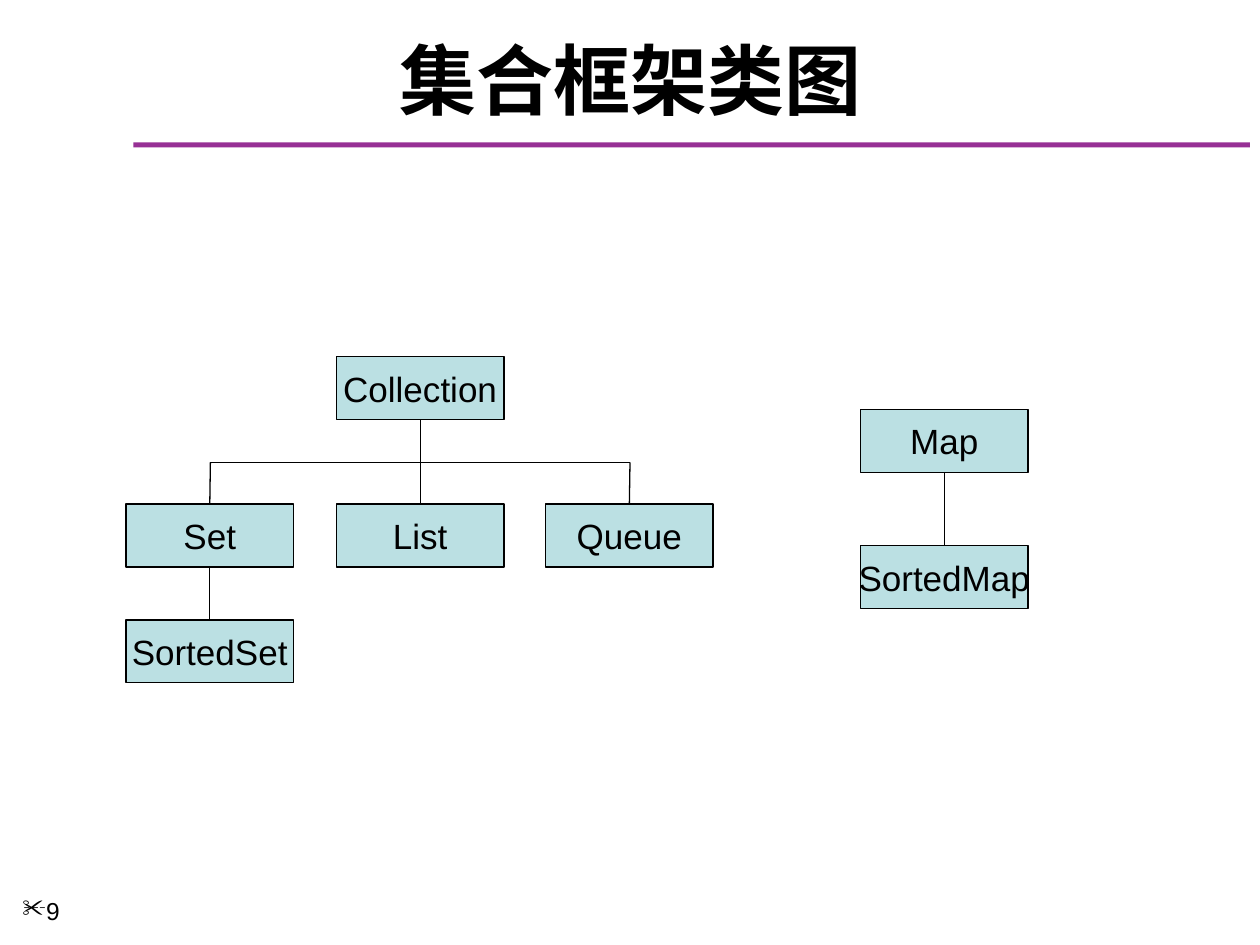
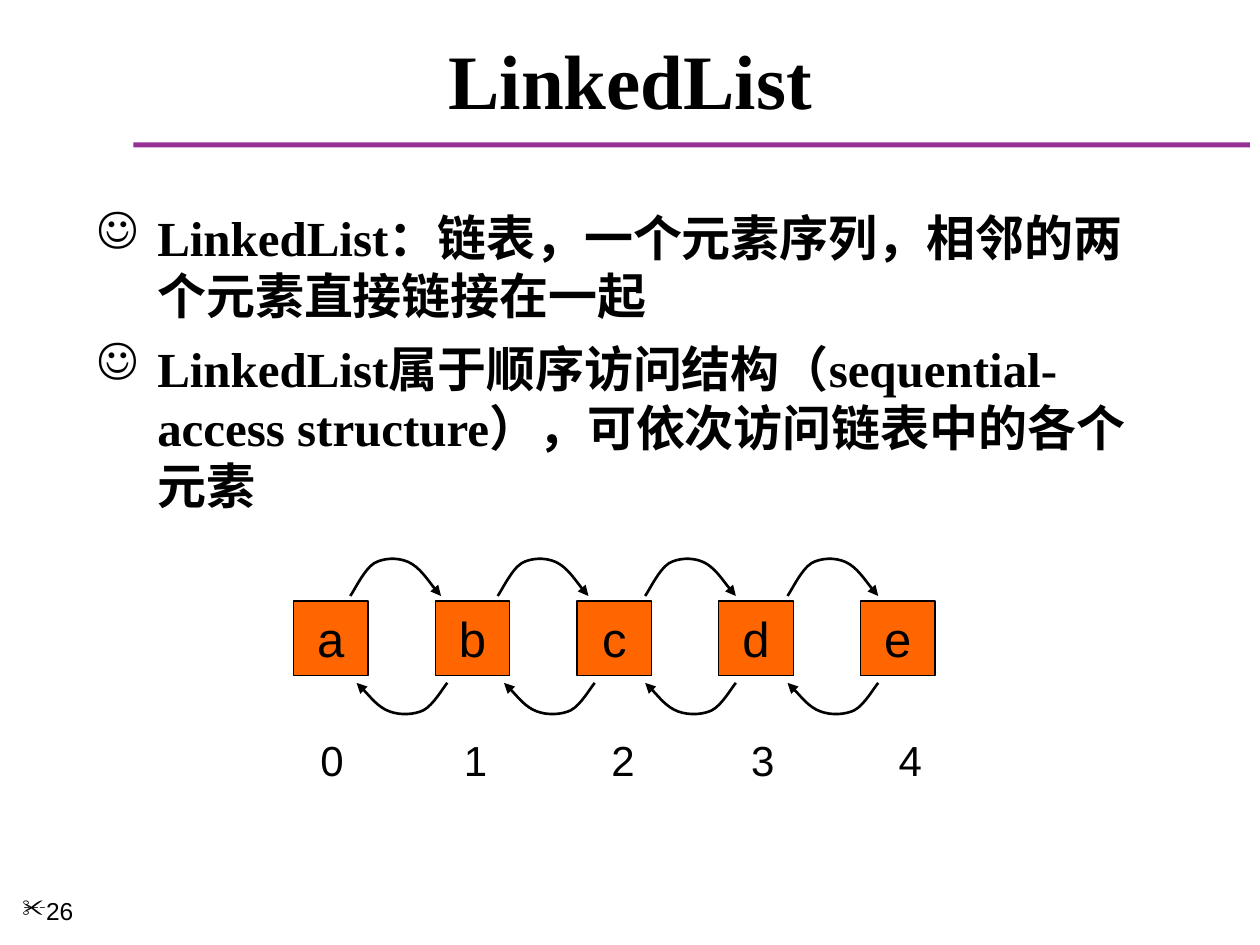
"""Build two slides on collection classes: a class tree and a linked list."""
from lxml import etree
from pptx import Presentation
from pptx import util as u
from pptx.dml.color import RGBColor
from pptx.enum import shapes, text
from pptx.oxml.ns import qn

HUES = {"ink": "000000", "bar": "973095", "class": "BBE0E3", "node": "FF6600"}
SANS, SERIF, HAN = "Arial", "Times New Roman", "Noto Sans CJK SC"
CURVE = [(0, .31), (.03, .27), (.11, .1), (.19, .05), (.26, .01),
         (.37, 0), (.46, .04), (.55, .08), (.67, .26), (.72, .31)]


class Deck:
    """Hold the style and the current slide."""

    def __init__(self):
        self.prs = Presentation()
        self.prs.slide_width = u.Inches(10)
        self.prs.slide_height = u.Inches(7.5)

    def hue(self, name):
        return RGBColor.from_string(HUES[name])

    def style(self, para, size, font=SANS, bold=False):
        for run in para.runs:
            run.font.size = u.Pt(size)
            run.font.name = font
            run.font.bold = bold
            run.font.color.rgb = self.hue("ink")
            ea = etree.SubElement(run.font._element, qn("a:ea"))
            ea.set("typeface", HAN)

    def bullet(self, para, char, left=0):
        props = para._p.get_or_add_pPr()
        props.set("marL", str(u.Inches(left)))
        props.set("indent", str(u.Inches(-left)))
        etree.SubElement(props, qn("a:buChar")).set("char", char)

    def page(self, title, number, font):
        self.slide = self.prs.slides.add_slide(self.prs.slide_layouts[5])
        self.rect(1.06, 1.13, 8.86, .04, "bar")
        head = self.slide.shapes.title
        head.left, head.top = u.Inches(.17), u.Inches(.25)
        head.width, head.height = u.Inches(9.67), u.Inches(.75)
        frame = head.text_frame
        frame.text = title
        frame.auto_size = text.MSO_AUTO_SIZE.NONE
        frame.vertical_anchor = text.MSO_ANCHOR.MIDDLE
        frame.paragraphs[0].alignment = text.PP_ALIGN.CENTER
        self.style(frame.paragraphs[0], 44, font, True)
        foot = self.label(.08, 7.06, 1.08, .44, number, 14)
        self.bullet(foot, "✂")

    def rect(self, x, y, w, h, fill):
        box = self.slide.shapes.add_shape(
            shapes.MSO_SHAPE.RECTANGLE, *map(u.Inches, (x, y, w, h)))
        box.shadow.inherit = False
        box.fill.solid()
        box.fill.fore_color.rgb = self.hue(fill)
        box.line.fill.background()
        return box

    def box(self, x, y, w, h, words, fill, size):
        box = self.rect(x, y, w, h, fill)
        box.line.color.rgb = self.hue("ink")
        box.line.width = u.Pt(.75)
        frame = box.text_frame
        frame.text = words
        frame.word_wrap = False
        frame.vertical_anchor = text.MSO_ANCHOR.MIDDLE
        frame.paragraphs[0].alignment = text.PP_ALIGN.CENTER
        self.style(frame.paragraphs[0], size)
        return box

    def label(self, x, y, w, h, words, size, align=text.PP_ALIGN.LEFT):
        frame = self.slide.shapes.add_textbox(
            *map(u.Inches, (x, y, w, h))).text_frame
        frame.text = words
        frame.word_wrap = True
        para = frame.paragraphs[0]
        para.alignment = align
        self.style(para, size)
        return para

    def points(self, x, y, w, h, items):
        frame = self.slide.shapes.add_textbox(
            *map(u.Inches, (x, y, w, h))).text_frame
        frame.text = "\n".join(items)
        frame.word_wrap = True
        for i, para in enumerate(frame.paragraphs):
            self.bullet(para, "☺", .48)
            para.line_spacing = u.Pt(33.4)
            if i:
                para.space_before = u.Pt(8.4)
            self.style(para, 28, SERIF, True)

    def line(self, x1, y1, x2, y2, start=None, end=None):
        link = self.slide.shapes.add_connector(
            shapes.MSO_CONNECTOR.STRAIGHT, *map(u.Inches, (x1, y1, x2, y2)))
        if start:
            link.begin_connect(*start)
        if end:
            link.end_connect(*end)
        link.line.color.rgb = self.hue("ink")
        link.line.width = u.Pt(.75)
        etree.SubElement(link._element.spPr, qn("a:effectLst"))

    def arc(self, dots):
        dots = [(u.Inches(x), u.Inches(y)) for x, y in dots]
        pen = self.slide.shapes.build_freeform(*dots[0])
        pen.add_line_segments(dots[1:], close=False)
        arc = pen.convert_to_shape()
        steps = list(arc._element.iter(qn("a:lnTo")))
        for i in range(0, len(steps), 3):
            curve = etree.SubElement(steps[i].getparent(), qn("a:cubicBezTo"))
            for step in steps[i:i + 3]:
                curve.append(step[0])
                step.getparent().remove(step)
        arc.shadow.inherit = False
        arc.fill.background()
        arc.line.color.rgb = self.hue("ink")
        arc.line.width = u.Pt(1.5)
        tail = etree.SubElement(arc.line._get_or_add_ln(), qn("a:tailEnd"))
        tail.set("type", "triangle")


def tree(deck):
    deck.page("集合框架类图", "9", HAN)
    spots = {"Collection": (2.67, 2.83), "Set": (1, 4), "List": (2.67, 4),
             "Queue": (4.33, 4), "SortedSet": (1, 4.92),
             "Map": (6.83, 3.25), "SortedMap": (6.83, 4.33)}
    boxes = {name: deck.box(x, y, 1.33, .5, name, "class", 20)
             for name, (x, y) in spots.items()}
    for top, low in (("Set", "SortedSet"), ("Collection", "List"),
                     ("Map", "SortedMap")):
        mid = spots[top][0] + .665
        deck.line(mid, spots[top][1] + .5, mid, spots[low][1],
                  (boxes[top], 2), (boxes[low], 0))
    deck.line(1.67, 3.67, 5, 3.67)
    for name, x in (("Set", 1.67), ("Queue", 5)):
        deck.line(x, 4, x, 3.67, (boxes[name], 0))


def chain(deck):
    deck.page("LinkedList", "26", SERIF)
    deck.points(.67, 1.6, 8.6, 2.6, [
        "LinkedList：链表，一个元素序列，相邻的两个元素直接链接在一起",
        "LinkedList属于顺序访问结构（sequential-access structure），"
        "可依次访问链表中的各个元素"])
    for i, name in enumerate("abcde"):
        deck.box(2.33 + 1.125 * i, 4.77, .59, .59, name, "node", 28)
    for i, x in enumerate((2.44, 3.58, 4.75, 5.86, 7.03)):
        deck.label(x, 5.78, .39, .5, str(i), 24, text.PP_ALIGN.CENTER)
    for x in (2.78, 3.95, 5.12, 6.25):
        deck.arc([(x + dx, 4.42 + dy) for dx, dy in CURVE])
    for x in (2.83, 4, 5.12, 6.25):
        deck.arc([(x + .72 - dx, 5.68 - dy * .26 / .31) for dx, dy in CURVE])


def main():
    deck = Deck()
    tree(deck)
    chain(deck)
    deck.prs.save("out.pptx")


if __name__ == "__main__":
    main()
